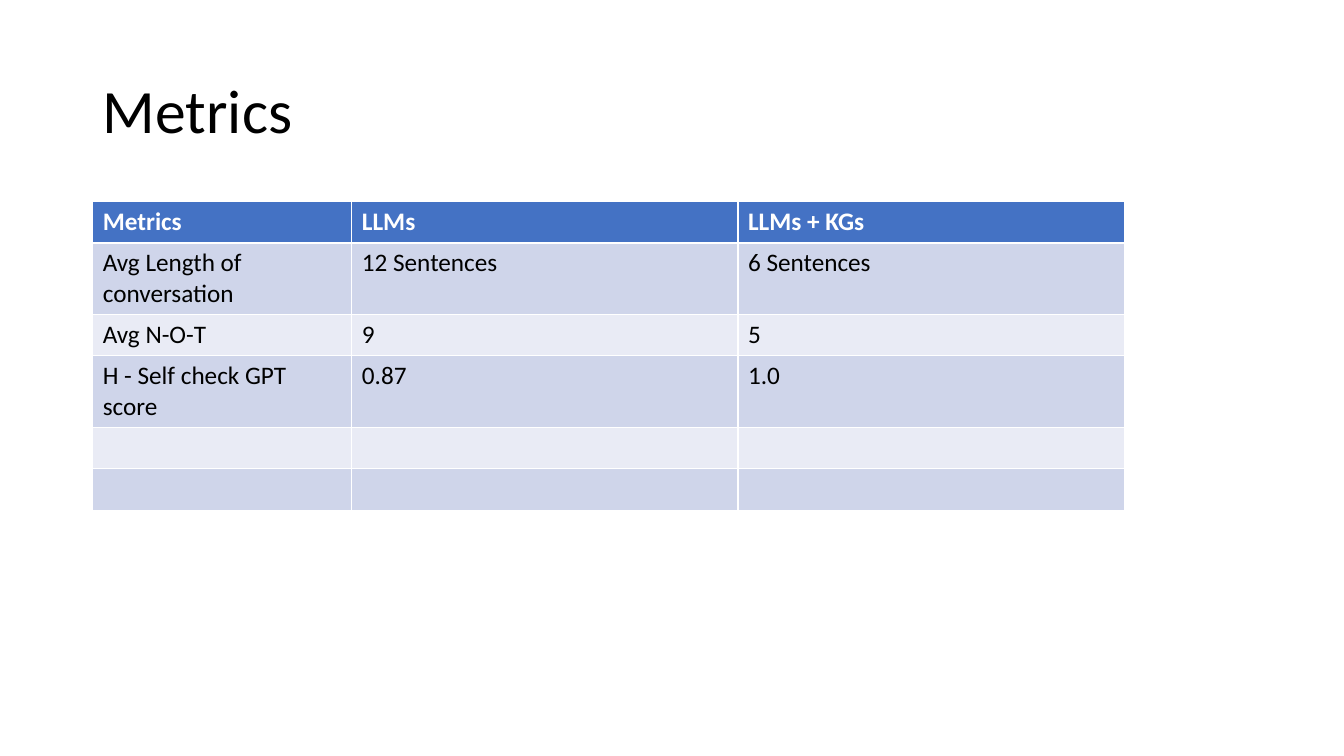
from pptx import Presentation
from pptx.dml.color import RGBColor
from pptx.enum.text import MSO_ANCHOR, PP_ALIGN
from pptx.util import Inches, Pt

LEFT = PP_ALIGN.LEFT
MIDDLE = MSO_ANCHOR.MIDDLE

TITLE = "Metrics"
ROWS = [
    ("Metrics", "LLMs", "LLMs + KGs"),
    ("Avg Length of conversation", "12 Sentences", "6 Sentences"),
    ("Avg N-O-T", "9", "5"),
    ("H - Self check GPT score", "0.87", "1.0"),
    ("", "", ""),
    ("", "", ""),
]
COLUMN_WIDTHS = (2.57, 3.83, 3.83)
ROW_HEIGHT = 0.41
LEFT_EDGE = 0.92
HEADER_FILL = "4472C4"
BAND_FILLS = ("E9EBF5", "CFD5EA")


def color(value):
    return RGBColor.from_string(value)


def style_font(font, size, value, bold=False):
    font.name = "Calibri"
    font.size = Pt(size)
    font.bold = bold
    font.color.rgb = color(value)


def add_title(page):
    title = page.shapes.title
    title.left, title.top = Inches(LEFT_EDGE), Inches(0.4)
    title.width, title.height = Inches(11.5), Inches(1.45)
    title.text_frame.text = TITLE
    title.text_frame.vertical_anchor = MIDDLE
    para = title.text_frame.paragraphs[0]
    para.alignment = LEFT
    para.line_spacing = 0.9
    style_font(para.font, 44, "000000")


def add_metrics_table(page):
    table = page.shapes.add_table(
        len(ROWS), len(COLUMN_WIDTHS), Inches(LEFT_EDGE), Inches(2),
        Inches(sum(COLUMN_WIDTHS)), Inches(ROW_HEIGHT * len(ROWS)),
    ).table
    for column, width in zip(table.columns, COLUMN_WIDTHS):
        column.width = Inches(width)
    for row_index, values in enumerate(ROWS):
        table.rows[row_index].height = Inches(ROW_HEIGHT)
        header = row_index == 0
        fill = HEADER_FILL if header else BAND_FILLS[row_index % 2]
        for column_index, value in enumerate(values):
            cell = table.cell(row_index, column_index)
            cell.text = value
            cell.fill.solid()
            cell.fill.fore_color.rgb = color(fill)
            style_font(cell.text_frame.paragraphs[0].font, 18,
                       "FFFFFF" if header else "000000", header)


def main():
    deck = Presentation()
    deck.slide_width, deck.slide_height = Inches(13.33), Inches(7.5)
    page = deck.slides.add_slide(deck.slide_layouts[5])
    add_title(page)
    add_metrics_table(page)
    deck.save("out.pptx")


if __name__ == "__main__":
    main()
